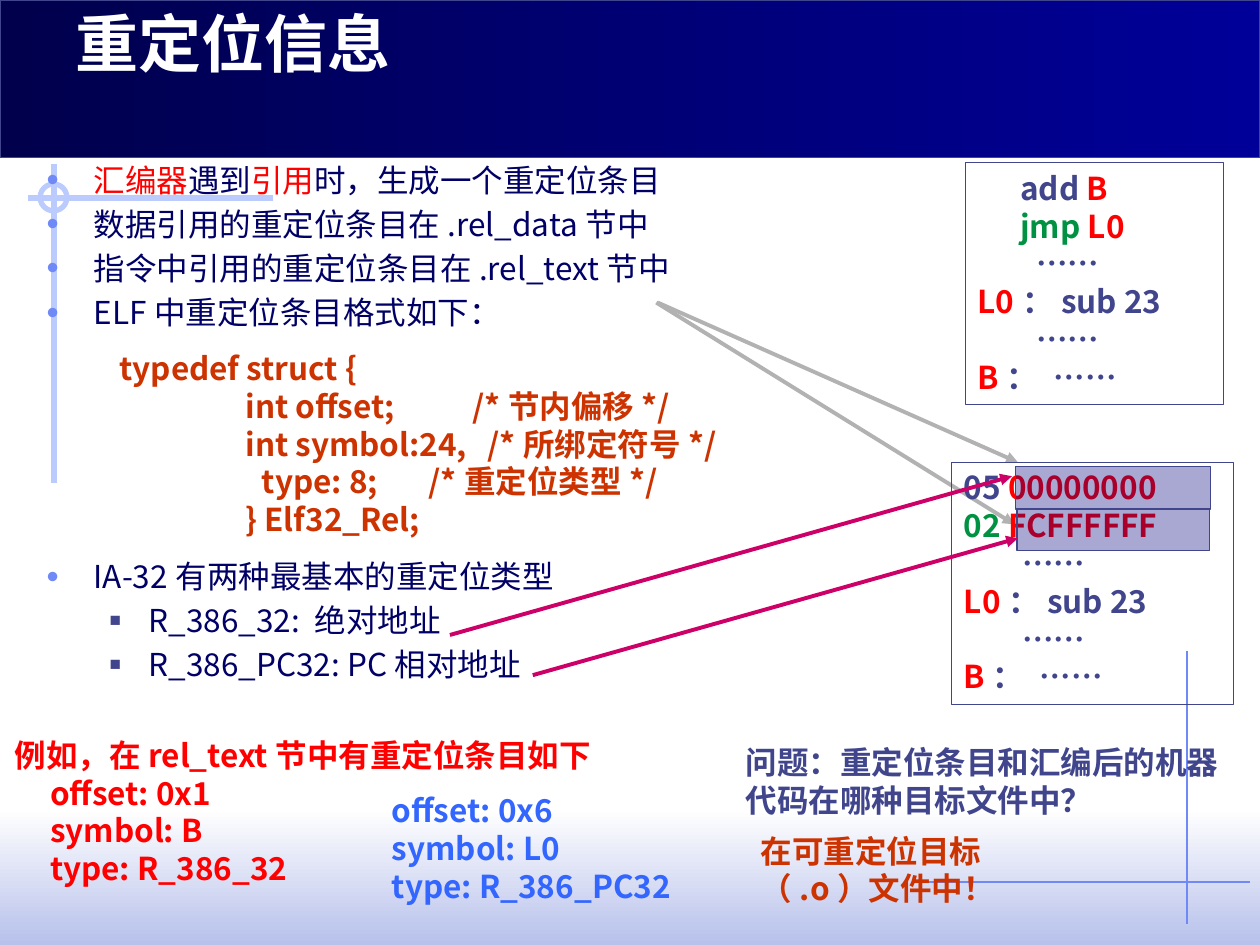
from lxml.etree import SubElement
from pptx import Presentation
from pptx.dml.color import RGBColor
from pptx.enum.shapes import MSO_CONNECTOR as Connector, MSO_SHAPE as Shape
from pptx.enum.text import MSO_ANCHOR as Anchor, MSO_AUTO_SIZE as AutoSize, PP_ALIGN as Align
from pptx.oxml.ns import qn
from pptx.util import Cm, Pt

FONT = "Noto Sans CJK SC"
NAVY, SLATE, RED, GREEN = "000066", "40458C", "FF0000", "009242"
RUST, BLUE, PALE, SKY = "CC3300", "3366FF", "BBCBFD", "6F89F7"
GREY, MAGENTA = "B2B2B2", "CC0066"


def color(value):
    """Turn a hex string into a colour."""
    return RGBColor.from_string(value)


def format_run(run, tint, size=18, bold=True, latin=FONT, asian=FONT):
    """Set the font of one run for Latin and Chinese text."""
    run.font.size, run.font.bold, run.font.name = Pt(size), bold, latin
    run.font.color.rgb = color(tint)
    SubElement(run.font._element, qn("a:ea"), typeface=asian)


def set_indent(paragraph, left, hanging=0):
    """Indent a paragraph, with an optional hanging first line."""
    properties = paragraph._p.get_or_add_pPr()
    properties.set("marL", str(Cm(left)))
    properties.set("indent", str(-Cm(hanging)))


def set_bullet(paragraph, mark, tint, percent):
    """Give a paragraph a coloured bullet."""
    properties = paragraph._p.get_or_add_pPr()
    SubElement(SubElement(properties, qn("a:buClr")), qn("a:srgbClr"), val=tint)
    SubElement(properties, qn("a:buSzPct"), val=str(percent * 1000))
    SubElement(properties, qn("a:buFont"), typeface="Arial")
    SubElement(properties, qn("a:buChar"), char=mark)


def set_tabs(paragraph, stops):
    """Add left tab stops to a paragraph."""
    tabs = SubElement(paragraph._p.get_or_add_pPr(), qn("a:tabLst"))
    for stop in stops:
        SubElement(tabs, qn("a:tab"), pos=str(Cm(stop)), algn="l")


def write_lines(frame, lines, **font):
    """Write lines of (text, colour) parts and return their paragraphs."""
    frame.word_wrap = True
    frame.vertical_anchor = Anchor.TOP
    frame.text = "\n".join("" for _ in lines)
    for paragraph, parts in zip(frame.paragraphs, lines):
        paragraph.alignment = Align.LEFT
        for text, tint in parts:
            run = paragraph.add_run()
            run.text = text
            format_run(run, tint, **font)
    return frame.paragraphs


def add_text(slide, box, lines, **font):
    """Add a text box and return its paragraphs."""
    area = slide.shapes.add_textbox(*map(Cm, box))
    return write_lines(area.text_frame, lines, **font)


def add_panel(slide, box, outline=SLATE, width=0.75, kind=Shape.RECTANGLE):
    """Add an unfilled shape, outlined unless outline is None."""
    panel = slide.shapes.add_shape(kind, *map(Cm, box))
    panel.shadow.inherit = False
    panel.fill.background()
    if outline:
        panel.line.color.rgb = color(outline)
        panel.line.width = Pt(width)
    else:
        panel.line.fill.background()
    return panel


def add_gradient(slide, box, tints, angle, outline=None):
    """Add a rectangle with a two-colour gradient."""
    band = add_panel(slide, box, outline)
    band.fill.gradient()
    band.fill.gradient_angle = angle
    for position, (stop, tint) in enumerate(zip(band.fill.gradient_stops, tints)):
        stop.color.rgb = color(tint)
        stop.position = position


def add_line(slide, ends, tint, width, arrow=False):
    """Add a straight line, with an arrowhead at its end if wanted."""
    line = slide.shapes.add_connector(Connector.STRAIGHT, *map(Cm, ends))
    line.line.color.rgb = color(tint)
    line.line.width = Pt(width)
    if arrow:
        SubElement(line.line._get_or_add_ln(), qn("a:tailEnd"), type="triangle")
    SubElement(line._element.spPr, qn("a:effectLst"))


def add_highlight(slide, box):
    """Add a translucent box over the bytes to relocate."""
    highlight = add_panel(slide, box)
    highlight.fill.solid()
    highlight.fill.fore_color.rgb = color("000080")
    tint = highlight._element.spPr.find(qn("a:solidFill"))[0]
    SubElement(tint, qn("a:alpha"), val="34000")


def add_backdrop(slide):
    """Draw the header, footer and ornamental lines."""
    add_gradient(slide, (0, 16.31, 25.4, 2.74), ("FFFFFF", "B7C1EB"), 270)
    add_line(slide, (23.93, 13.13, 23.93, 18.62), SKY, 0.75)
    add_line(slide, (5.51, 3.99, 0.56, 3.99), PALE, 3)
    add_line(slide, (1.09, 3.3, 1.09, 9.73), PALE, 3)
    add_panel(slide, (0.81, 3.71, 0.54, 0.54), PALE, 3, Shape.OVAL)
    add_gradient(slide, (0, 0, 25.4, 3.18), ("00004D", "000099"), 0, SLATE)
    add_line(slide, (18.42, 17.78, 25.2, 17.78), SKY, 0.75)


def add_title(slide, text):
    """Format the title and bring it in front of the header."""
    title = slide.shapes.title
    title.left, title.top, title.width, title.height = map(Cm, (1.27, 0.2, 22.86, 1.55))
    write_lines(title.text_frame, [[(text, "FFFFFF")]],
                size=36, latin="Noto Sans CJK JP", asian="Noto Sans CJK JP")
    title.text_frame.auto_size = AutoSize.NONE
    title.text_frame.vertical_anchor = Anchor.BOTTOM
    title.element.getparent().append(title.element)


def add_bullets(slide):
    """Add the main points and the two relocation types."""
    points = ["数据引用的重定位条目在.rel_data节中", "指令中引用的重定位条目在.rel_text节中",
              "ELF中重定位条目格式如下：", "IA-32有两种最基本的重定位类型"]
    kinds = ["R_386_32: 绝对地址", "R_386_PC32: PC相对地址"]
    lead = [("汇编器", RED), ("遇到", NAVY), ("引用", RED), ("时，生成一个重定位条目", NAVY)]
    lines = [lead] + [[(text, NAVY)] for text in points + kinds]
    paragraphs = add_text(slide, (0.69, 3.12, 23.67, 12.62), lines, bold=False)
    for index, paragraph in enumerate(paragraphs):
        paragraph.space_before = Pt(3.6)
        if index <= len(points):
            set_indent(paragraph, 0.95, 0.95)
            if index == len(points):
                paragraph.space_before = Pt(129.3)
            set_bullet(paragraph, "•", SKY, 110)
        else:
            paragraph.level = 1
            set_indent(paragraph, 2.06, 0.79)
            set_bullet(paragraph, "■", SLATE, 60)


def add_struct(slide):
    """Add the C definition of a relocation entry."""
    code = [("typedef struct {", ()), ("\tint offset;\t/*节内偏移*/", (2.54, 7.12)),
            ("\tint symbol:24,\t/*所绑定符号*/", (2.54, 7.42)),
            ("\ttype: 8;\t/*重定位类型*/", (2.87, 6.23)), ("\t} Elf32_Rel;", (2.54,))]
    paragraphs = add_text(slide, (2.16, 6.91, 13.92, 4.09), [[(text, RUST)] for text, _ in code])
    for paragraph, (_, stops) in zip(paragraphs, code):
        if stops:
            set_tabs(paragraph, stops)


def add_listing(slide, box, head, head_indent):
    """Add a framed listing: two own lines, then the common tail."""
    dots = [("……", SLATE)]
    tail = [dots, [("L0", RED), ("：sub 23", SLATE)], dots, [("B", RED), ("：\t……", SLATE)]]
    paragraphs = write_lines(add_panel(slide, box).text_frame, head + tail)
    for index, indent in enumerate((head_indent, head_indent, 1.18, 0, 1.18)):
        set_indent(paragraphs[index], indent)
    set_tabs(paragraphs[-1], [1.53])


def add_entry(slide, box, lines, tint, indent=0):
    """Add a relocation entry, indenting all but its first line."""
    paragraphs = add_text(slide, box, [[(text, tint)] for text in lines])
    for paragraph in paragraphs[1:]:
        set_indent(paragraph, indent)


def main():
    deck = Presentation()
    deck.slide_width, deck.slide_height = Cm(25.4), Cm(19.05)
    slide = deck.slides.add_slide(deck.slide_layouts[5])
    add_backdrop(slide)
    add_title(slide, "重定位信息")
    add_bullets(slide)
    add_struct(slide)
    add_entry(slide, (0.05, 14.71, 13.61, 3.33),
              ["例如，在rel_text节中有重定位条目如下", "offset: 0x1", "symbol: B", "type: R_386_32"], RED, 0.71)
    add_listing(slide, (19.46, 3.28, 5.21, 4.88),
                [[("add ", SLATE), ("B", RED)], [("jmp ", GREEN), ("L0", RED)]], 0.86)
    for ends in ((13.23, 6.1, 20.45, 10.57), (13.26, 6.1, 20.52, 9.32)):
        add_line(slide, ends, GREY, 2.25, arrow=True)
    add_listing(slide, (19.18, 9.32, 5.69, 4.88),
                [[("05", SLATE), (" 00000000", RED)], [("02 ", GREEN), ("FCFFFFFF", RED)]], 0)
    add_highlight(slide, (20.47, 9.4, 3.94, 0.86))
    add_highlight(slide, (20.5, 10.26, 3.89, 0.84))
    for ends in ((9.07, 12.8, 20.4, 9.6), (10.74, 13.61, 20.52, 10.85)):
        add_line(slide, ends, MAGENTA, 2.25, arrow=True)
    add_entry(slide, (7.65, 15.82, 10.31, 2.57), ["offset: 0x6", "symbol: L0", "type: R_386_PC32"], BLUE)
    add_text(slide, (14.78, 14.86, 10.24, 1.8),
             [[("问题：重定位条目和汇编后的机器代码在哪种目标文件中？", SLATE)]], latin="Arial")
    add_text(slide, (15.09, 16.64, 5.99, 1.8), [[("在可重定位目标（.o）文件中！", RUST)]])
    deck.save("out.pptx")


if __name__ == "__main__":
    main()
